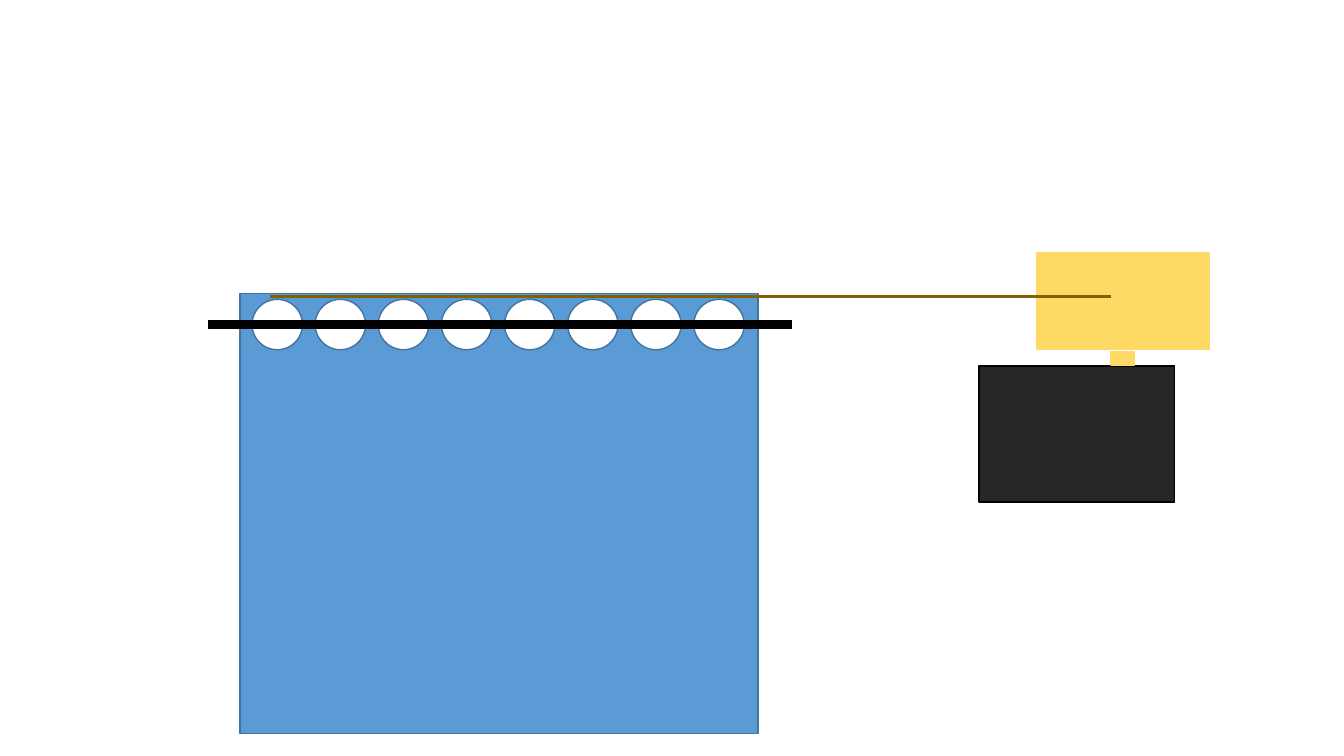
from pptx import Presentation
from pptx.dml.color import RGBColor
from pptx.enum.shapes import MSO_CONNECTOR, MSO_SHAPE
from pptx.oxml.ns import qn
from pptx.util import Inches, Pt
from lxml.etree import SubElement

BLACK = RGBColor(0x00, 0x00, 0x00)
DARK = RGBColor(0x26, 0x26, 0x26)
GOLD = RGBColor(0xFF, 0xD9, 0x66)
BROWN = RGBColor(0x80, 0x60, 0x00)
BLUE = RGBColor(0x5B, 0x9B, 0xD5)
NAVY = RGBColor(0x43, 0x73, 0x9E)
WHITE = RGBColor(0xFF, 0xFF, 0xFF)

deck = Presentation()
deck.slide_width, deck.slide_height = Inches(13.33), Inches(7.5)
slide = deck.slides.add_slide(deck.slide_layouts[6])


def add_part(kind, box, fill, edge):
    part = slide.shapes.add_shape(kind, *[Inches(v) for v in box])
    part.shadow.inherit = False
    part.fill.solid()
    part.fill.fore_color.rgb = fill
    part.line.color.rgb = edge
    part.line.width = Pt(1)


def add_rod(start, end, level, color, width):
    rod = slide.shapes.add_connector(
        MSO_CONNECTOR.STRAIGHT,
        Inches(start), Inches(level), Inches(end), Inches(level))
    rod.line.color.rgb = color
    rod.line.width = Pt(width)
    SubElement(rod._element.spPr, qn("a:effectLst"))


# Motor: dark body, gold neck and head; then the blue block
for box, fill, edge in [
    ((9.71, 3.63, 1.94, 1.35), DARK, BLACK),
    ((11.02, 3.49, 0.23, 0.13), GOLD, GOLD),
    ((10.28, 2.51, 1.71, 0.96), GOLD, GOLD),
    ((2.38, 2.91, 5.14, 4.37), BLUE, NAVY),
]:
    add_part(MSO_SHAPE.RECTANGLE, box, fill, edge)

# Row of holes along the top of the block
HOLES, LEFT, TOP, SIZE, STEP = 8, 2.5, 2.97, 0.5, 0.626
for col in range(HOLES):
    add_part(MSO_SHAPE.OVAL, (LEFT + col * STEP, TOP, SIZE, SIZE), WHITE, NAVY)

# Axle through the holes, and cord from the motor head
add_rod(2.06, 7.86, TOP + SIZE / 2, BLACK, 6)
add_rod(11.02, 2.68, 2.94, BROWN, 2.25)

deck.save("out.pptx")
